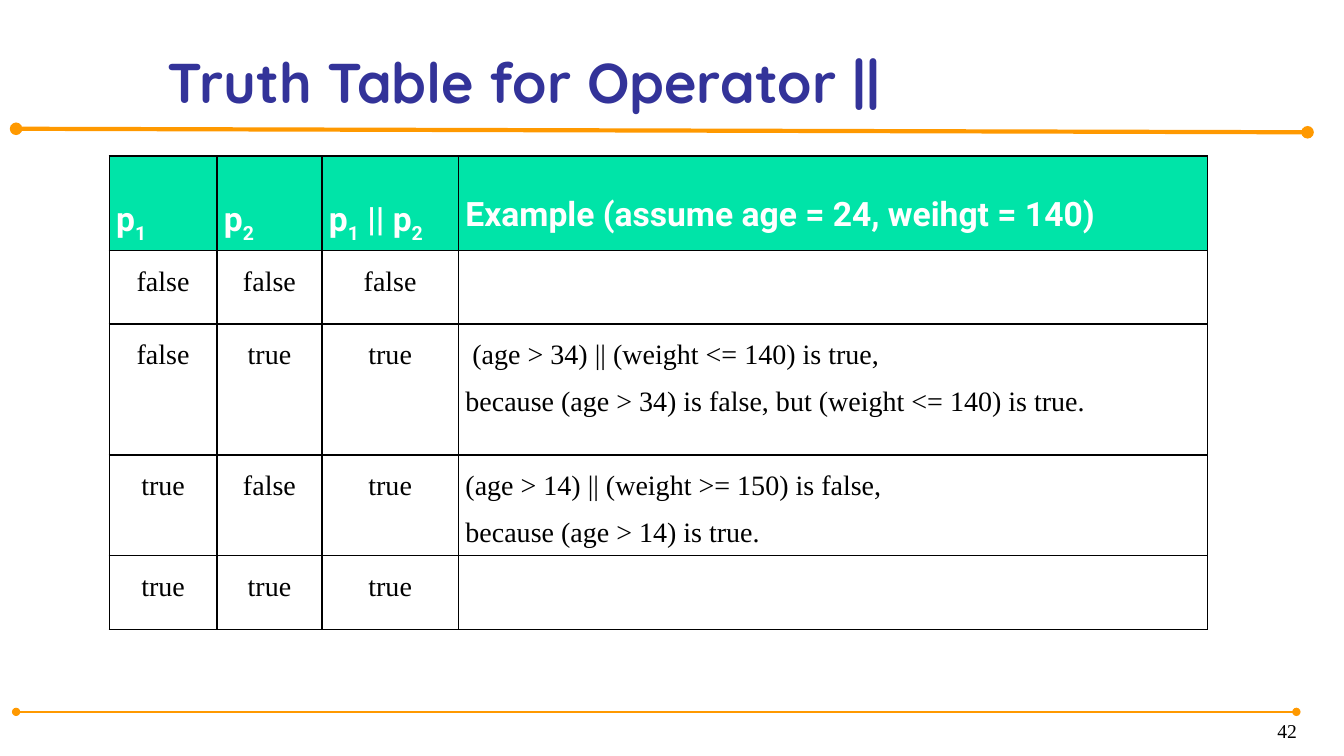
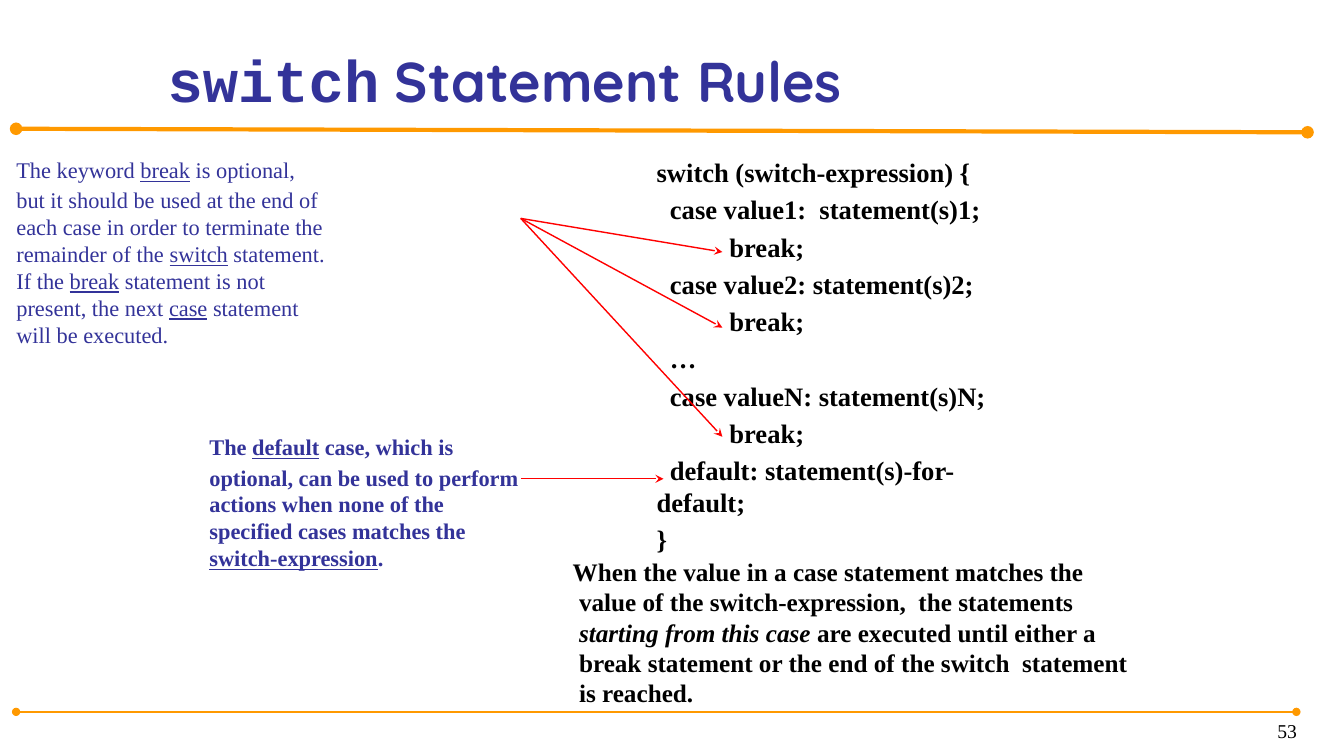
"""Build two lecture slides: the truth table for || and the switch statement rules."""
from lxml.etree import SubElement
from pptx import Presentation
from pptx.dml.color import RGBColor
from pptx.enum.shapes import MSO_CONNECTOR
from pptx.enum.text import MSO_ANCHOR, MSO_AUTO_SIZE, PP_ALIGN
from pptx.oxml.ns import qn
from pptx.util import Pt

COLORS = {"title": "333399", "rule": "FF9900", "header": "00E4A8",
          "white": "FFFFFF", "ink": "000000", "arrow": "FF0000"}
SERIF, TITLE_FONT = "Times New Roman", "Quicksand"


def write(paragraph, text, size, font=SERIF, color="ink", bold=False, mark=None):
    """Add text to a paragraph; parts between underscores get the mark."""
    for order, part in enumerate(text.split("_")):
        if not part:
            continue
        run = paragraph.add_run()
        run.text = part
        run.font.size, run.font.name, run.font.bold = Pt(size), font, bold
        run.font.color.rgb = RGBColor.from_string(COLORS[color])
        if order % 2 and mark == "subscript":
            run._r.get_or_add_rPr().set("baseline", "-25000")
        elif order % 2:
            setattr(run.font, mark, True)


def draw_line(slide, start, end, color, weight, **ends):
    """Draw a straight line whose headEnd and tailEnd come from keywords."""
    line = slide.shapes.add_connector(MSO_CONNECTOR.STRAIGHT, *map(Pt, start + end))
    line.line.color.rgb = RGBColor.from_string(COLORS[color])
    line.line.width = Pt(weight)
    for end_name, kind in ends.items():
        SubElement(line.line._get_or_add_ln(), qn(f"a:{end_name}"), type=kind)
    SubElement(line._element.spPr, qn("a:effectLst"))


deck = Presentation()
deck.slide_width, deck.slide_height = Pt(960), Pt(540)
truth = deck.slides.add_slide(deck.slide_layouts[5])
switch = deck.slides.add_slide(deck.slide_layouts[1])

for slide, number in ((truth, "42"), (switch, "53")):
    draw_line(slide, (11.5, 92), (934, 94.5), "rule", 3, headEnd="oval", tailEnd="oval")
    draw_line(slide, (11.5, 508.5), (926, 508.5), "rule", 1.5, headEnd="oval", tailEnd="oval")
    title = slide.shapes.title
    title.left, title.top, title.width, title.height = map(Pt, (112.5, 4.5, 827, 81))
    title.text_frame.vertical_anchor = MSO_ANCHOR.BOTTOM
    title.text_frame.auto_size = MSO_AUTO_SIZE.NONE
    title.text_frame.paragraphs[0].alignment = PP_ALIGN.LEFT
    page = slide.shapes.add_textbox(*map(Pt, (733.5, 502.5, 200, 31.5))).text_frame
    page.word_wrap = True
    page.vertical_anchor = MSO_ANCHOR.BOTTOM
    page.paragraphs[0].alignment = PP_ALIGN.RIGHT
    write(page.paragraphs[0], number, 14)

heading = {"size": 40, "font": TITLE_FONT, "color": "title", "bold": True}
write(truth.shapes.title.text_frame.paragraphs[0], "Truth Table for Operator ||", **heading)
switch_title = switch.shapes.title.text_frame.paragraphs[0]
write(switch_title, "switch", **{**heading, "size": 42, "font": "Courier New"})
write(switch_title, " Statement Rules", **heading)

ROWS = [
    ("p_1_", "p_2_", "p_1_ || p_2_", "Example (assume age = 24, weihgt = 140)"),
    ("false", "false", "false", ""),
    ("false", "true", "true", "\u00a0(age > 34) || (weight <= 140) is true,\n"
     "because (age > 34) is false, but (weight <= 140) is true."),
    ("true", "false", "true", "(age > 14) || (weight >= 150) is false,\n"
     "because (age > 14) is true."),
    ("true", "true", "true", ""),
]
COLUMN_WIDTHS = (77, 75, 97.5, 535)
ROW_HEIGHTS = (67.5, 52.5, 93.5, 70.5, 52.5)
table = truth.shapes.add_table(len(ROWS), len(COLUMN_WIDTHS), Pt(78), Pt(111.5),
                               Pt(sum(COLUMN_WIDTHS)), Pt(sum(ROW_HEIGHTS))).table
table.first_row = table.horz_banding = False
for column, width in zip(table.columns, COLUMN_WIDTHS):
    column.width = Pt(width)
for row, height in zip(table.rows, ROW_HEIGHTS):
    row.height = Pt(height)

for row_index, row in enumerate(ROWS):
    is_header = row_index == 0
    for column_index, content in enumerate(row):
        cell = table.cell(row_index, column_index)
        cell.margin_left = cell.margin_right = Pt(5)
        cell.margin_top = cell.margin_bottom = 0
        for side in ("lnL", "lnR", "lnT", "lnB"):
            border = SubElement(cell._tc.get_or_add_tcPr(), qn(f"a:{side}"), w=str(Pt(1)))
            SubElement(SubElement(border, qn("a:solidFill")), qn("a:srgbClr"), val=COLORS["ink"])
        cell.fill.solid()
        cell.fill.fore_color.rgb = RGBColor.from_string(COLORS["header" if is_header else "white"])
        for line_index, sentence in enumerate(content.split("\n")):
            frame = cell.text_frame
            paragraph = frame.add_paragraph() if line_index else frame.paragraphs[0]
            paragraph.line_spacing = 2.0 if is_header else 1.5
            if is_header:
                write(paragraph, sentence, 24, "Roboto", "white", bold=True, mark="subscript")
            else:
                paragraph.alignment = PP_ALIGN.CENTER if column_index < 3 else PP_ALIGN.LEFT
                write(paragraph, sentence, 20)

break_note = switch.placeholders[1]
break_note.left, break_note.top, break_note.width, break_note.height = map(Pt, (0, 96, 240, 162))
default_note = switch.shapes.add_textbox(*map(Pt, (138, 294, 240, 120)))
match_note = switch.shapes.add_textbox(*map(Pt, (402, 394, 420, 103.5)))
code = switch.shapes.add_textbox(*map(Pt, (462, 108, 288, 300))).text_frame
code.word_wrap = True

BREAK_TEXT = ("The keyword _break_ is optional, but it should be used at the end of each case "
              "in order to terminate the remainder of the _switch_ statement. If the _break_ "
              "statement is not present, the next _case_ statement will be executed.")
DEFAULT_TEXT = ("The _default_ case, which is optional, can be used to perform actions when "
                "none of the specified cases matches the _switch-expression_.")
MATCH_TEXT = ("When the value in a case statement matches the value of the switch-expression,  "
              "the statements _starting from this case_ are executed until either a break "
              "statement or the end of the switch  statement is reached.")
for note, sentence, size, color, bold, mark in (
        (break_note, BREAK_TEXT, 16, "title", False, "underline"),
        (default_note, DEFAULT_TEXT, 16, "title", True, "underline"),
        (match_note, MATCH_TEXT, 18, "ink", True, "italic")):
    note.text_frame.word_wrap = True
    note.text_frame.auto_size = MSO_AUTO_SIZE.NONE
    paragraph = note.text_frame.paragraphs[0]
    paragraph.space_before = Pt(0)
    properties = paragraph._p.get_or_add_pPr()
    properties.set("marL", str(Pt(4.5)))
    properties.set("indent", str(Pt(-4.5)))
    SubElement(properties, qn("a:buNone"))
    if mark == "underline":
        write(paragraph, "\t", 28, "DejaVu Sans Mono", color, bold)
    write(paragraph, sentence, size, SERIF, color, bold, mark)

CODE_LINES = [
    (0, "switch (switch-expression) {"),
    (9.5, "case value1:  statement(s)1;"),
    (52, "break;"),
    (9.5, "case value2: statement(s)2;"),
    (52, "break;"),
    (9.5, "…"),
    (9.5, "case valueN: statement(s)N;"),
    (52, "break;"),
    (9.5, "default: statement(s)-for-default;"),
    (0, "}"),
]
for line_index, (indent, statement) in enumerate(CODE_LINES):
    paragraph = code.add_paragraph() if line_index else code.paragraphs[0]
    paragraph.space_before = Pt(3.8)
    paragraph._p.get_or_add_pPr().set("indent", str(Pt(indent)))
    write(paragraph, statement, 19, bold=True)

for start, end in (((372, 156), (516, 180)), ((372, 156), (516, 234)),
                   ((372, 156), (516, 312)), ((372, 342), (474, 342))):
    draw_line(switch, start, end, "arrow", 1, tailEnd="stealth")

deck.save("out.pptx")
